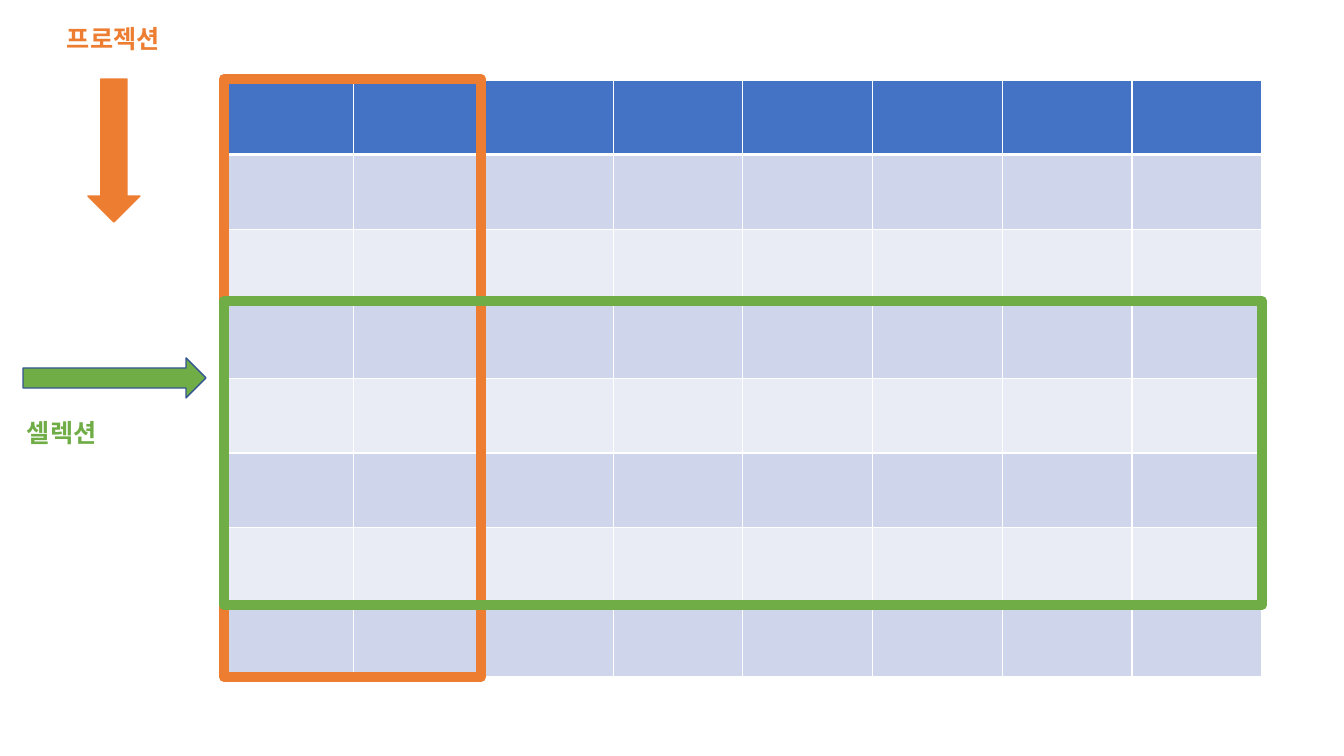
"""Build a slide showing projection and selection on a table."""
from dataclasses import dataclass

import pptx
import pptx.dml.color
import pptx.enum.shapes
import pptx.enum.text
import pptx.oxml
import pptx.oxml.ns
import pptx.util
from lxml import etree

SHAPE = pptx.enum.shapes.MSO_SHAPE


@dataclass(frozen=True)
class Theme:
    """Colours, font and sizes of the slide."""
    projection: str = "ED7D31"
    selection: str = "70AD47"
    arrow_edge: str = "325491"
    header: str = "4472C4"
    bands: tuple = ("CFD5EA", "E9EBF5")
    grid: str = "FFFFFF"
    font: str = "Noto Sans CJK KR"
    label_pt: int = 18
    frame_pt: float = 7.25
    thin_pt: int = 1
    header_rule_pt: int = 3


THEME = Theme()
SLIDE = (1344, 756)
ROWS, COLUMNS = 8, 8
TABLE = (224, 80, 1038, 597)
FRAMES = [
    ((224, 79, 257, 598), THEME.projection),
    ((224, 301, 1038, 304), THEME.selection),
]
LABELS = [
    ("프로젝션", (57, 18, 166, 40), THEME.projection),
    ("셀렉션", (17, 412, 166, 40), THEME.selection),
]
ARROWS = [
    (SHAPE.RIGHT_ARROW, (23, 358, 183, 40), THEME.selection, THEME.arrow_edge),
    (SHAPE.DOWN_ARROW, (88, 79, 52, 143), THEME.projection, THEME.projection),
]


def px(length):
    return pptx.util.Emu(round(length * 914400 / 100.8))


def place(box):
    return [px(length) for length in box]


def rgb(colour):
    return pptx.dml.color.RGBColor.from_string(colour)


def add_border(cell, side, width):
    properties = cell._tc.get_or_add_tcPr()
    line = etree.SubElement(properties, pptx.oxml.ns.qn(f"a:ln{side}"),
                            w=str(pptx.util.Pt(width)))
    fill = etree.SubElement(line, pptx.oxml.ns.qn("a:solidFill"))
    etree.SubElement(fill, pptx.oxml.ns.qn("a:srgbClr"), val=THEME.grid)


def add_relation(slide):
    relation = slide.shapes.add_table(ROWS, COLUMNS, *place(TABLE)).table
    for column in relation.columns:
        column.width = px(TABLE[2] / COLUMNS)
    for row_index, row in enumerate(relation.rows):
        row.height = px(TABLE[3] / ROWS)
        colour = THEME.bands[(row_index - 1) % 2] if row_index else THEME.header
        top = THEME.header_rule_pt if row_index == 1 else THEME.thin_pt
        bottom = THEME.thin_pt if row_index else THEME.header_rule_pt
        for cell in row.cells:
            for side, width in (("L", THEME.thin_pt), ("R", THEME.thin_pt),
                                ("T", top), ("B", bottom)):
                add_border(cell, side, width)
            cell.fill.solid()
            cell.fill.fore_color.rgb = rgb(colour)


def add_outlined(slide, kind, box, fill, edge, width):
    shape = slide.shapes.add_shape(kind, *place(box))
    shape.shadow.inherit = False
    if fill:
        shape.fill.solid()
        shape.fill.fore_color.rgb = rgb(fill)
    else:
        shape.fill.background()
    shape.line.color.rgb = rgb(edge)
    shape.line.width = pptx.util.Pt(width)


def add_label(slide, text, box, colour):
    frame = slide.shapes.add_textbox(*place(box)).text_frame
    frame.word_wrap = True
    frame.auto_size = pptx.enum.text.MSO_AUTO_SIZE.SHAPE_TO_FIT_TEXT
    run = frame.paragraphs[0].add_run()
    run.text = text
    run.font.size = pptx.util.Pt(THEME.label_pt)
    run.font.bold = True
    run.font.color.rgb = rgb(colour)
    run.font.name = THEME.font
    etree.SubElement(run._r.get_or_add_rPr(), pptx.oxml.ns.qn("a:ea"),
                     typeface=THEME.font)


def main():
    deck = pptx.Presentation()
    deck.slide_width, deck.slide_height = place(SLIDE)
    slide = deck.slides.add_slide(deck.slide_layouts[6])
    add_relation(slide)
    for box, colour in FRAMES:
        add_outlined(slide, SHAPE.RECTANGLE, box, None, colour, THEME.frame_pt)
    for text, box, colour in LABELS:
        add_label(slide, text, box, colour)
    for kind, box, fill, edge in ARROWS:
        add_outlined(slide, kind, box, fill, edge, THEME.thin_pt)
    deck.save("out.pptx")


if __name__ == "__main__":
    main()
